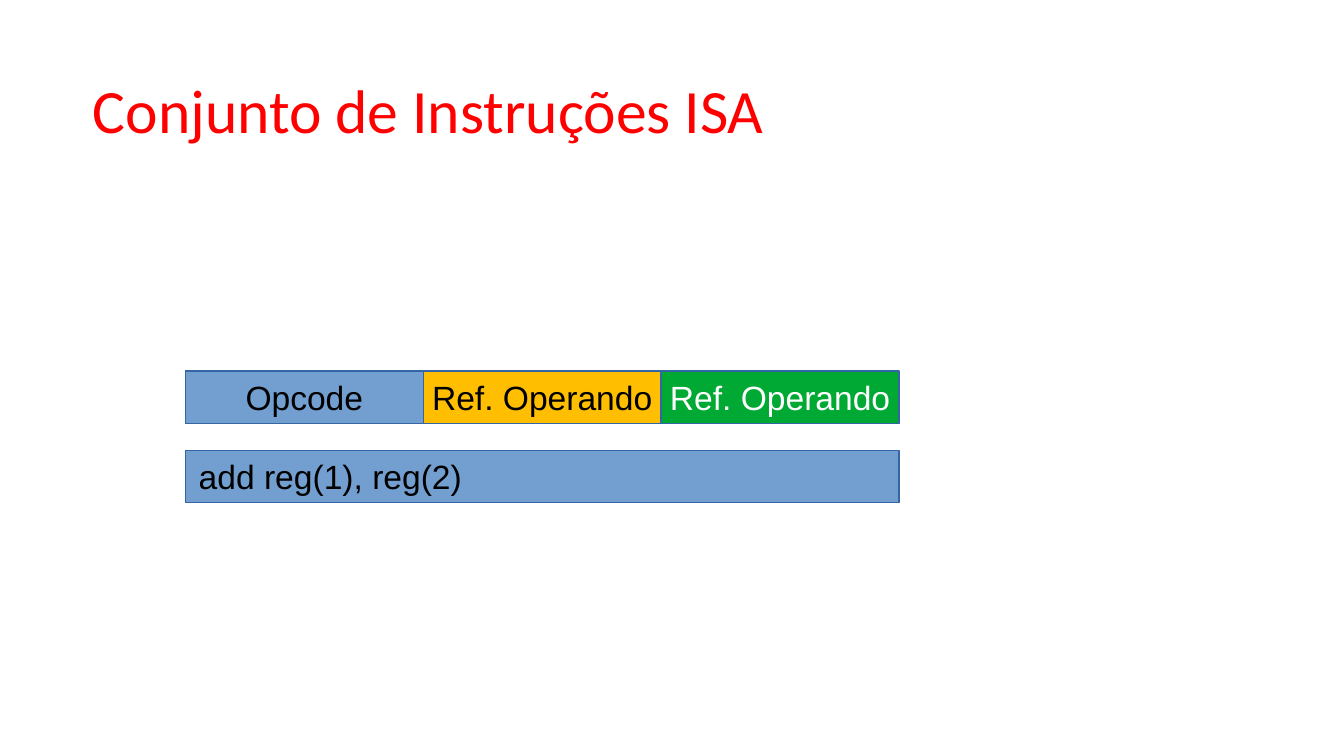
from pptx import Presentation
from pptx.dml.color import RGBColor
from pptx.enum.shapes import MSO_SHAPE as Shape
from pptx.enum.text import MSO_ANCHOR as Anchor, PP_ALIGN as Align
from pptx.util import Inches, Pt

HUES = {
    "title": "FF0000",
    "blue": "729FCF",
    "gold": "FFBF00",
    "green": "00A933",
    "edge": "3465A4",
    "black": "000000",
    "white": "FFFFFF",
}
LEFT, TOP = 1.38, 2.76
WIDE, HIGH = 1.77, 0.39
STEP = 0.59  # from one row to the next


def color(name):
    return RGBColor.from_string(HUES[name])


def write(frame, text, font, size, hue, align=Align.LEFT):
    frame.text = text
    frame.vertical_anchor = Anchor.MIDDLE
    para = frame.paragraphs[0]
    para.alignment = align
    face = para.runs[0].font
    face.name, face.size = font, Pt(size)
    face.color.rgb = color(hue)
    return para


def add_title(slide, text):
    box = slide.shapes.add_textbox(Inches(0.69), Inches(0.3), Inches(8.62), Inches(1.09))
    frame = box.text_frame
    frame.word_wrap = True
    frame.margin_left = frame.margin_right = 0
    frame.margin_top = frame.margin_bottom = 0
    write(frame, text, "Calibri", 33, "title").line_spacing = 0.9


def add_field(slide, col, row, span, text, fill, ink, align):
    box = slide.shapes.add_shape(
        Shape.RECTANGLE,
        Inches(LEFT + col * WIDE), Inches(TOP + row * STEP),
        Inches(span * WIDE), Inches(HIGH),
    )
    box.shadow.inherit = False
    box.fill.solid()
    box.fill.fore_color.rgb = color(fill)
    box.line.color.rgb = color("edge")
    box.line.width = Pt(0)
    box.text_frame.word_wrap = False
    write(box.text_frame, text, "Arial", 18, ink, align)


def main():
    deck = Presentation()
    # Widescreen, 16 to 9
    deck.slide_width = Inches(10)
    deck.slide_height = Inches(10 * 9 / 16)
    slide = deck.slides.add_slide(deck.slide_layouts[6])

    add_title(slide, "Conjunto de Instruções ISA")

    # Instruction format
    fields = [
        ("Opcode", "blue", "black"),
        ("Ref. Operando", "gold", "black"),
        ("Ref. Operando", "green", "white"),
    ]
    for col, (text, fill, ink) in enumerate(fields):
        add_field(slide, col, 0, 1, text, fill, ink, Align.CENTER)

    # Sample instruction
    add_field(slide, 0, 1, len(fields), "add reg(1), reg(2)", "blue", "black", Align.LEFT)

    deck.save("out.pptx")


if __name__ == "__main__":
    main()
